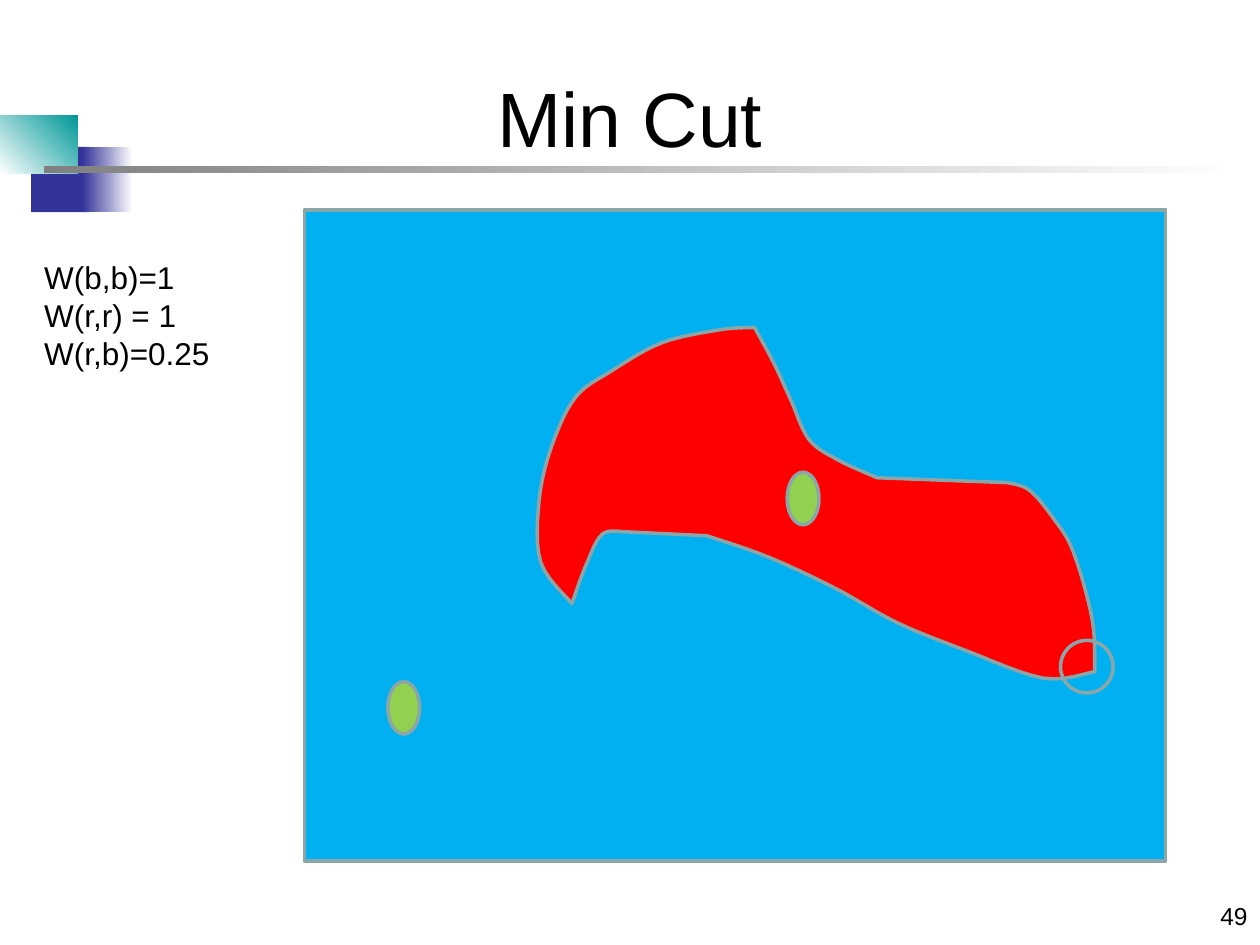
from dataclasses import dataclass
from typing import Optional

from pptx import Presentation
from pptx.dml.color import RGBColor
from pptx.enum.shapes import MSO_SHAPE
from pptx.enum.text import MSO_ANCHOR, PP_ALIGN
from pptx.util import Cm, Pt

WHITE = RGBColor(0xFF, 0xFF, 0xFF)
BLACK = RGBColor(0x00, 0x00, 0x00)
NAVY = RGBColor(0x33, 0x33, 0x99)
TEAL = RGBColor(0x00, 0x99, 0x99)
GRAY = RGBColor(0x80, 0x80, 0x80)
SKY = RGBColor(0x00, 0xB0, 0xF0)
RED = RGBColor(0xFF, 0x00, 0x00)
GREEN = RGBColor(0x92, 0xD0, 0x50)
EDGE = RGBColor(0x8A, 0xA6, 0xA8)

Point = tuple[float, float]
STEPS = 6
PEAK, TAIL, TOE = (15.21, 6.6), (11.53, 12.17), (22.07, 13.54)
CROWN = [PEAK, (14.5, 6.65), (13.34, 6.91), (12.34, 7.47), (11.61, 8),
         (11.13, 8.97), (10.87, 10.08), (10.9, 11.33), TAIL]
HOLLOW = [TAIL, (11.81, 11.4), (12.14, 10.77), (12.6, 10.72)]
BELLY = [(14.25, 10.8), (15.49, 11.23), (16.84, 11.86), (18.08, 12.55),
         (19.46, 13.11), (21.03, 13.67), TOE]
FLANK = [TOE, (22.02, 12.5), (21.64, 11.13), (21.23, 10.44), (20.75, 9.88),
         (20.32, 9.73)]
NECK = [(17.68, 9.63), (16.89, 9.27), (16.31, 8.86), (15.95, 8.08),
        (15.6, 7.32), PEAK]
REGION = [CROWN, HOLLOW, BELLY, FLANK, NECK]


@dataclass
class Form:
    kind: MSO_SHAPE
    x: float
    y: float
    w: float
    h: float
    fill: Optional[RGBColor] = None
    fade: Optional[RGBColor] = None
    angle: int = 0
    edge: Optional[RGBColor] = None


@dataclass
class Note:
    text: str
    x: float
    y: float
    w: float
    h: float
    size: int
    align: PP_ALIGN = PP_ALIGN.LEFT
    anchor: MSO_ANCHOR = MSO_ANCHOR.TOP


BOX, OVAL = MSO_SHAPE.RECTANGLE, MSO_SHAPE.OVAL
DECOR = [
    Form(BOX, 0.63, 2.96, 1.17, 1.32, NAVY),
    Form(BOX, 1.66, 2.96, 1.02, 1.32, NAVY, WHITE),
    Form(BOX, 0, 2.33, 1.56, 1.17, WHITE, TEAL, 45),
    Form(BOX, 0.89, 3.35, 24.15, 0.14, GRAY, WHITE),
]
FIELD = Form(BOX, 6.14, 4.23, 17.36, 13.13, SKY, edge=EDGE)
SEEDS = [Form(OVAL, x, y, 0.64, 1.06, GREEN, edge=EDGE)
         for x, y in [(15.87, 9.52), (7.82, 13.74)]]
RING = Form(OVAL, 21.38, 12.91, 1.06, 1.06, edge=EDGE)
NOTES = [
    Note("49", 22.86, 18.03, 2.54, 0.85, 14, PP_ALIGN.RIGHT),
    Note("Min Cut", 1.27, 0.76, 22.86, 3.18, 44, PP_ALIGN.CENTER, MSO_ANCHOR.MIDDLE),
    Note("W(b,b)=1\nW(r,r) = 1\nW(r,b)=0.25", 0.64, 5.08, 4.65, 2.57, 18),
]


def paint(shape, fill: Optional[RGBColor], edge: Optional[RGBColor]) -> None:
    """Set a plain fill and outline, with no shadow."""
    shape.shadow.inherit = False
    if fill is None:
        shape.fill.background()
    else:
        shape.fill.solid()
        shape.fill.fore_color.rgb = fill
    if edge is None:
        shape.line.fill.background()
    else:
        shape.line.color.rgb = edge
        shape.line.width = Pt(2)


def draw(slide, form: Form) -> None:
    """Draw a preset shape, fading from one colour to another if asked."""
    shape = slide.shapes.add_shape(
        form.kind, Cm(form.x), Cm(form.y), Cm(form.w), Cm(form.h))
    paint(shape, form.fill, form.edge)
    if form.fade is not None:
        shape.fill.gradient()
        shape.fill.gradient_angle = form.angle
        for stop, color in zip(shape.fill.gradient_stops, (form.fill, form.fade)):
            stop.color.rgb = color


def blend(a: float, b: float, c: float, d: float, t: float) -> float:
    """Return the Catmull-Rom value at t between b and c."""
    return b + t / 2 * (c - a + t * (2 * a - 5 * b + 4 * c - d
                                     + t * (3 * (b - c) + d - a)))


def curve(knots: list[Point]) -> list[Point]:
    """Return points along a smooth curve through all the knots."""
    ends = [knots[0], *knots, knots[-1]]
    spans = zip(ends, ends[1:], ends[2:], ends[3:])
    dots = [tuple(blend(*axis, step / STEPS) for axis in zip(*span))
            for span in spans for step in range(STEPS)]
    return [*dots, knots[-1]]


def trace(slide, sides: list[list[Point]], fill: RGBColor) -> None:
    """Draw a closed region whose curved sides are joined by straight lines."""
    dots = [(Cm(x), Cm(y)) for side in sides for x, y in curve(side)]
    pen = slide.shapes.build_freeform(*dots[0])
    pen.add_line_segments(dots[1:], close=True)
    paint(pen.convert_to_shape(), fill, EDGE)


def write(slide, note: Note) -> None:
    """Add a text box and format its runs."""
    box = slide.shapes.add_textbox(Cm(note.x), Cm(note.y), Cm(note.w), Cm(note.h))
    frame = box.text_frame
    frame.word_wrap = True
    frame.vertical_anchor = note.anchor
    frame.text = note.text
    for para in frame.paragraphs:
        para.alignment = note.align
        for run in para.runs:
            run.font.name = "Arial"
            run.font.size = Pt(note.size)
            run.font.color.rgb = BLACK


def main() -> None:
    """Build the slide and save it."""
    deck = Presentation()
    deck.slide_width, deck.slide_height = Cm(25.4), Cm(19.05)
    slide = deck.slides.add_slide(deck.slide_layouts[6])
    for form in [*DECOR, FIELD]:
        draw(slide, form)
    trace(slide, REGION, RED)
    for form in [*SEEDS, RING]:
        draw(slide, form)
    for note in NOTES:
        write(slide, note)
    deck.save("out.pptx")


if __name__ == "__main__":
    main()
